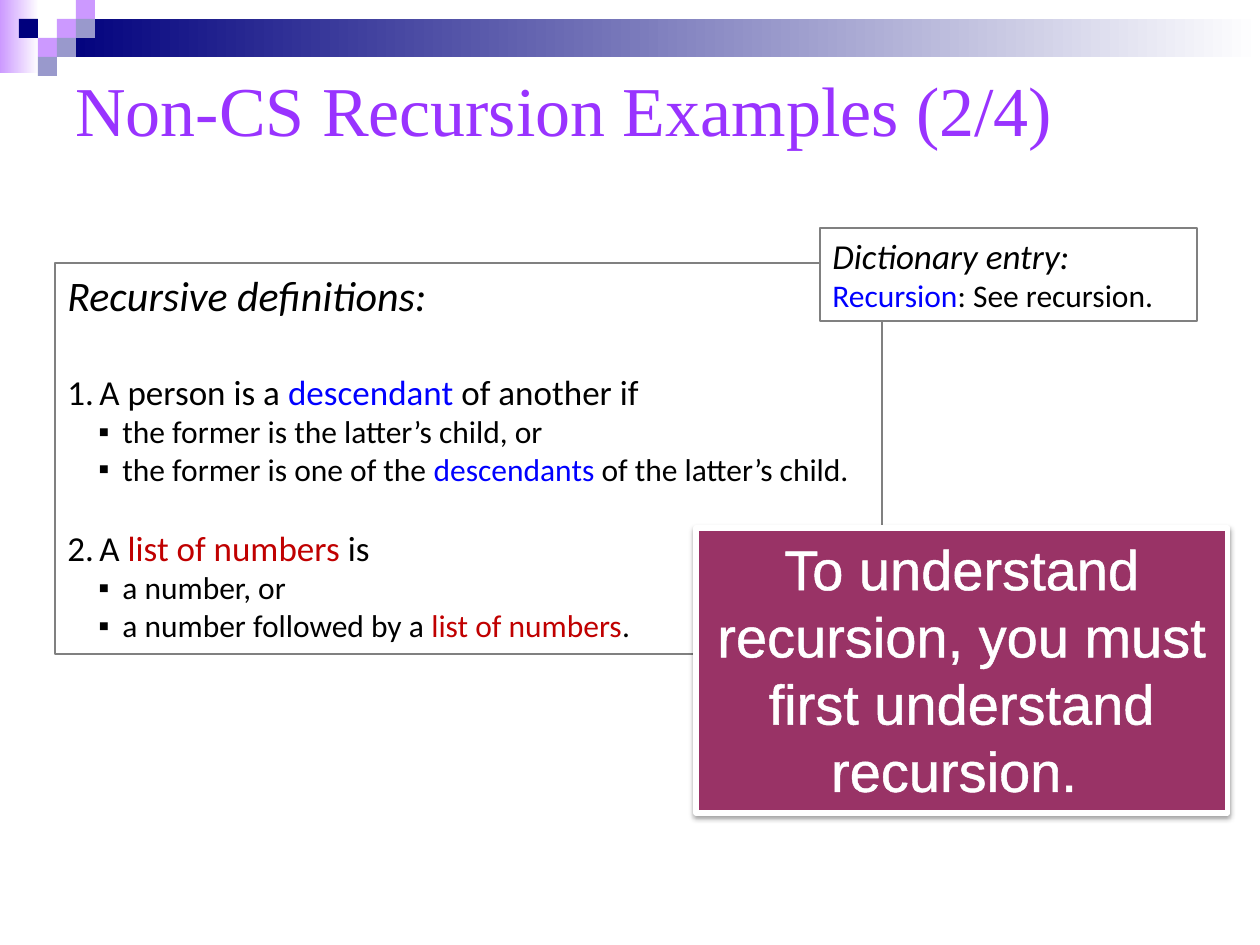
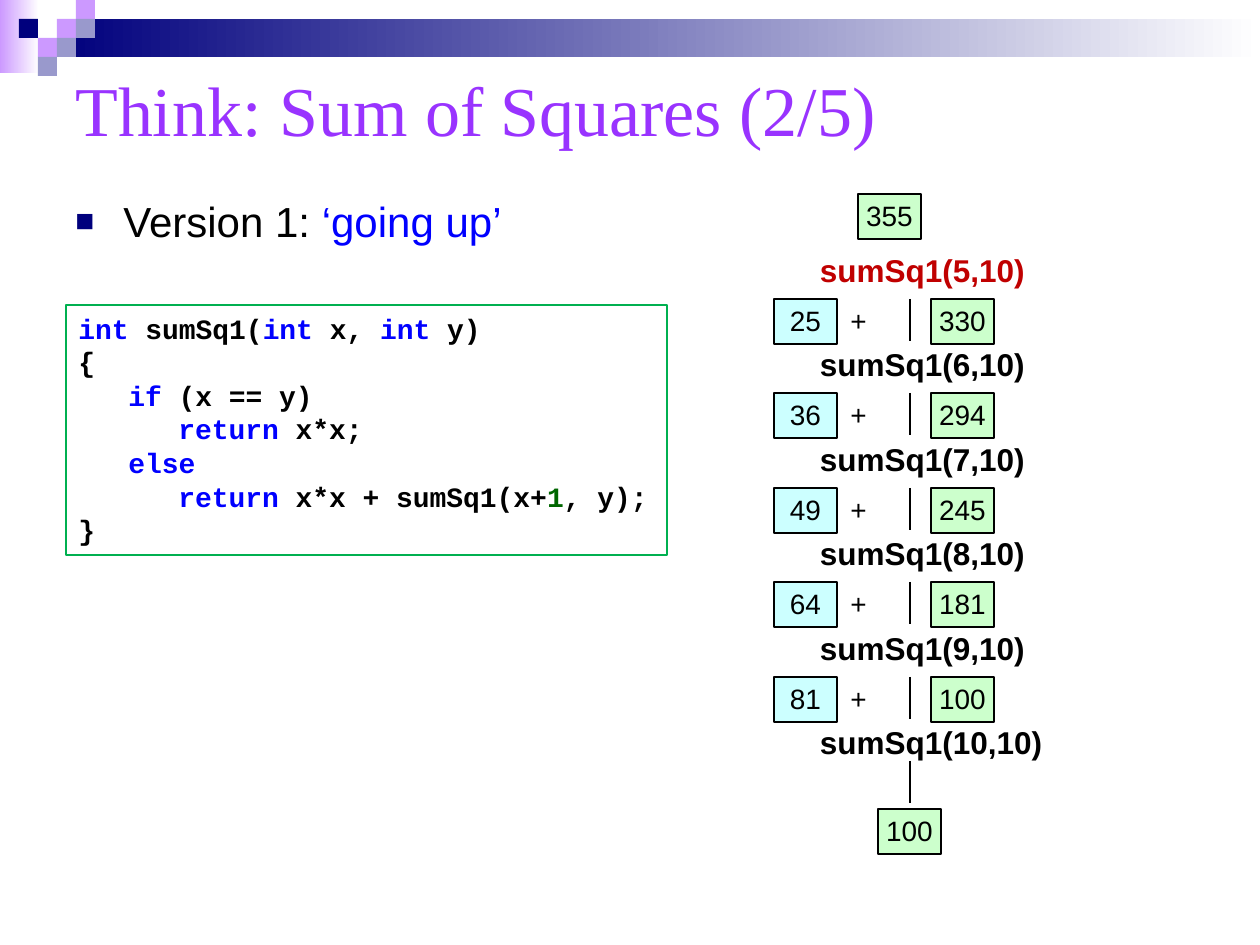
from dataclasses import dataclass
from lxml.etree import SubElement
from pptx import Presentation
from pptx.dml.color import RGBColor
from pptx.enum.shapes import MSO_CONNECTOR, MSO_SHAPE
from pptx.enum.text import MSO_ANCHOR, PP_ALIGN
from pptx.oxml.ns import qn
from pptx.util import Emu, Pt

SCALE = 914400 / 126


@dataclass(frozen=True)
class Theme:
    violet: str = "9933FF"
    lilac: str = "CC99FF"
    steel: str = "9999CC"
    navy: str = "00007D"
    plum: str = "993366"
    blue: str = "0000FF"
    red: str = "C00000"
    green: str = "00B050"
    moss: str = "006600"
    mint: str = "CCFFCC"
    aqua: str = "CCFFFF"
    grey: str = "808080"
    black: str = "000000"
    white: str = "FFFFFF"
    serif: str = "Times New Roman"
    sans: str = "Arial"
    round: str = "Calibri"
    mono: str = "Courier New"
    title: int = 40
    quote: int = 32
    head: int = 24
    item: int = 20
    body: int = 18
    small: int = 16


T = Theme()


def px(n):
    return Emu(round(n * SCALE))


def rgb(code):
    return RGBColor.from_string(code)


def node(parent, tag, **attrs):
    return SubElement(parent, qn(tag), {k: str(v) for k, v in attrs.items()})


def write(frame, *runs, size=T.body, font=T.sans, color=T.black, bold=False,
          italic=False, align=PP_ALIGN.LEFT, left=0, hang=0, before=0,
          bullet=None, number=None, tint=None, ratio=100, edge=None):
    first = frame.paragraphs[0]
    para = frame.add_paragraph() if first.runs else first
    para.alignment = align
    para.space_before = Pt(before)
    props = para._p.get_or_add_pPr()
    props.set("marL", str(px(left)))
    props.set("indent", str(-px(hang)))
    if tint:
        node(node(props, "a:buClr"), "a:srgbClr", val=tint)
    if bullet:
        node(props, "a:buSzPct", val=ratio * 1000)
        node(props, "a:buFont", typeface=T.sans)
        node(props, "a:buChar", char=bullet)
    elif number:
        node(props, "a:buAutoNum", type="arabicPeriod", startAt=number)
    else:
        node(props, "a:buNone")
    for part in runs:
        text, ink = (part, color) if isinstance(part, str) else part
        run = para.add_run()
        run.text = text
        face = run.font
        face.size, face.name = Pt(size), font
        face.bold, face.italic = bold, italic
        face.color.rgb = rgb(ink)
        if edge:
            line = node(face._element, "a:ln", w=Pt(1.45))
            node(node(line, "a:solidFill"), "a:srgbClr", val=edge)
            face._element.insert(0, line)


class Deck:
    def __init__(self, theme):
        self.theme = theme
        self.show = Presentation()
        self.show.slide_width = px(1260)
        self.show.slide_height = px(945)
        self.slide = None

    def page(self, title):
        t = self.theme
        self.slide = self.show.slides.add_slide(self.show.slide_layouts[6])
        self.fade(0, 0, 39, 73, t.lilac)
        self.fade(57, 19, 1203, 38, t.navy)
        tiles = {t.lilac: [(3, 1), (4, 0), (2, 2)],
                 t.steel: [(4, 1), (3, 2), (2, 3)],
                 t.navy: [(1, 1)]}
        for color, cells in tiles.items():
            for col, row in cells:
                self.box(col * 19, row * 19, 19, 19, fill=color)
        frame = self.text(63, 53, 1134, 111)
        frame.vertical_anchor = MSO_ANCHOR.MIDDLE
        write(frame, title, size=t.title, font=t.serif, color=t.violet)

    def box(self, x, y, w, h, fill=None, line=None, width=0.75):
        shape = self.slide.shapes.add_shape(
            MSO_SHAPE.RECTANGLE, px(x), px(y), px(w), px(h))
        shape.shadow.inherit = False
        if fill:
            shape.fill.solid()
            shape.fill.fore_color.rgb = rgb(fill)
        else:
            shape.fill.background()
        if line:
            shape.line.color.rgb = rgb(line)
            shape.line.width = Pt(width)
        else:
            shape.line.fill.background()
        shape.text_frame.word_wrap = True
        shape.text_frame.vertical_anchor = MSO_ANCHOR.TOP
        return shape

    def fade(self, x, y, w, h, color):
        fill = self.box(x, y, w, h).fill
        fill.gradient()
        fill.gradient_angle = 0
        for stop, tone in zip(fill.gradient_stops, (color, self.theme.white)):
            stop.color.rgb = rgb(tone)

    def text(self, x, y, w, h):
        frame = self.slide.shapes.add_textbox(
            px(x), px(y), px(w), px(h)).text_frame
        frame.word_wrap = True
        return frame

    def tight(self, frame):
        frame.margin_left = frame.margin_right = px(5)
        frame.margin_top = frame.margin_bottom = px(5)
        return frame

    def label(self, x, y, w, text, **style):
        write(self.tight(self.text(x, y, w, 48)), text, **style)

    def value(self, x, y, number, fill):
        shape = self.box(x, y, 63, 45, fill, self.theme.black, 1)
        write(self.tight(shape.text_frame), str(number),
              size=self.theme.small, align=PP_ALIGN.CENTER)

    def stem(self, x, y, length):
        line = self.slide.shapes.add_connector(
            MSO_CONNECTOR.STRAIGHT, px(x), px(y), px(x), px(y + length))
        line.line.color.rgb = rgb(self.theme.black)
        line.line.width = Pt(1)
        node(line._element.spPr, "a:effectLst")

    def shade(self, shape):
        effect = shape._element.spPr.find(qn("a:effectLst"))
        cast = node(effect, "a:outerShdw", blurRad=Pt(3.1), dist=Pt(1.6),
                    dir=5400000, rotWithShape=0)
        node(node(cast, "a:srgbClr", val=self.theme.black),
             "a:alpha", val=38000)


def examples(deck):
    deck.page("Non-CS Recursion Examples (2/4)")
    head = dict(size=T.head, font=T.round, italic=True)
    item = dict(size=T.item, font=T.round, left=32, hang=32)
    point = dict(size=T.body, font=T.round, left=55, hang=24, bullet="▪")
    frame = deck.box(55, 263, 827, 391, line=T.grey).text_frame
    write(frame, "Recursive definitions:", **head)
    write(frame, "A person is a ", ("descendant", T.blue), " of another if",
          number=1, before=29, **item)
    write(frame, "the former is the latter’s child, or", **point)
    write(frame, "the former is one of the ", ("descendants", T.blue),
          " of the latter’s child.", **point)
    write(frame, "A ", ("list of numbers", T.red), " is",
          number=2, before=22, **item)
    write(frame, "a number, or", **point)
    write(frame, "a number followed by a ", ("list of numbers", T.red), ".",
          **point)

    quote = deck.box(696, 528, 532, 285, T.plum, T.white, 3)
    deck.shade(quote)
    write(quote.text_frame,
          "To understand recursion, you must first understand recursion. ",
          size=T.quote, color=T.white, align=PP_ALIGN.CENTER, edge=T.white)

    entry = deck.box(820, 228, 377, 93, T.white, T.grey).text_frame
    write(entry, "Dictionary entry:", **{**head, "size": T.item})
    write(entry, ("Recursion", T.blue), ": See recursion.",
          font=T.round, left=32, hang=32)


def squares(deck):
    deck.page("Think: Sum of Squares (2/5)")
    write(deck.text(63, 189, 680, 77), "Version 1: ", ("‘going up’", T.blue),
          size=T.head, left=48, hang=48, bullet="■", tint=T.navy, ratio=75)

    code = deck.box(66, 305, 601, 250, T.white, T.green).text_frame
    kind, back = ("int", T.blue), ("return", T.blue)
    lines = [
        (0, [kind, " sumSq1(", kind, " x, ", kind, " y)"]),
        (0, ["{"]),
        (1, [("if", T.blue), " (x == y)"]),
        (2, [back, " x*x;"]),
        (1, [("else", T.blue)]),
        (2, [back, " x*x + sumSq1(x+", ("1", T.moss), ", y);"]),
        (0, ["}"]),
    ]
    for depth, runs in lines:
        write(code, *runs, size=T.small, font=T.mono, bold=True,
              left=depth * 50)

    last = 10
    total = sum(n * n for n in range(5, last + 1))
    deck.value(858, 194, total, T.mint)
    for step, n in enumerate(range(5, last + 1)):
        drop = step * 189 // 2
        deck.label(815, 246 + drop, 300, f"sumSq1({n},{last})", bold=True,
                   color=T.black if step else T.red)
        if n < last:
            total -= n * n
            row = 299 + drop
            deck.stem(910, row, 42)
            deck.value(931, row, total, T.mint)
            deck.label(827, row, 63, "+", size=T.small,
                       align=PP_ALIGN.CENTER)
            deck.value(774, row, n * n, T.aqua)
    deck.stem(910, 761, 42)
    deck.value(878, 809, total, T.mint)


def main():
    deck = Deck(T)
    examples(deck)
    squares(deck)
    deck.show.save("out.pptx")


if __name__ == "__main__":
    main()
